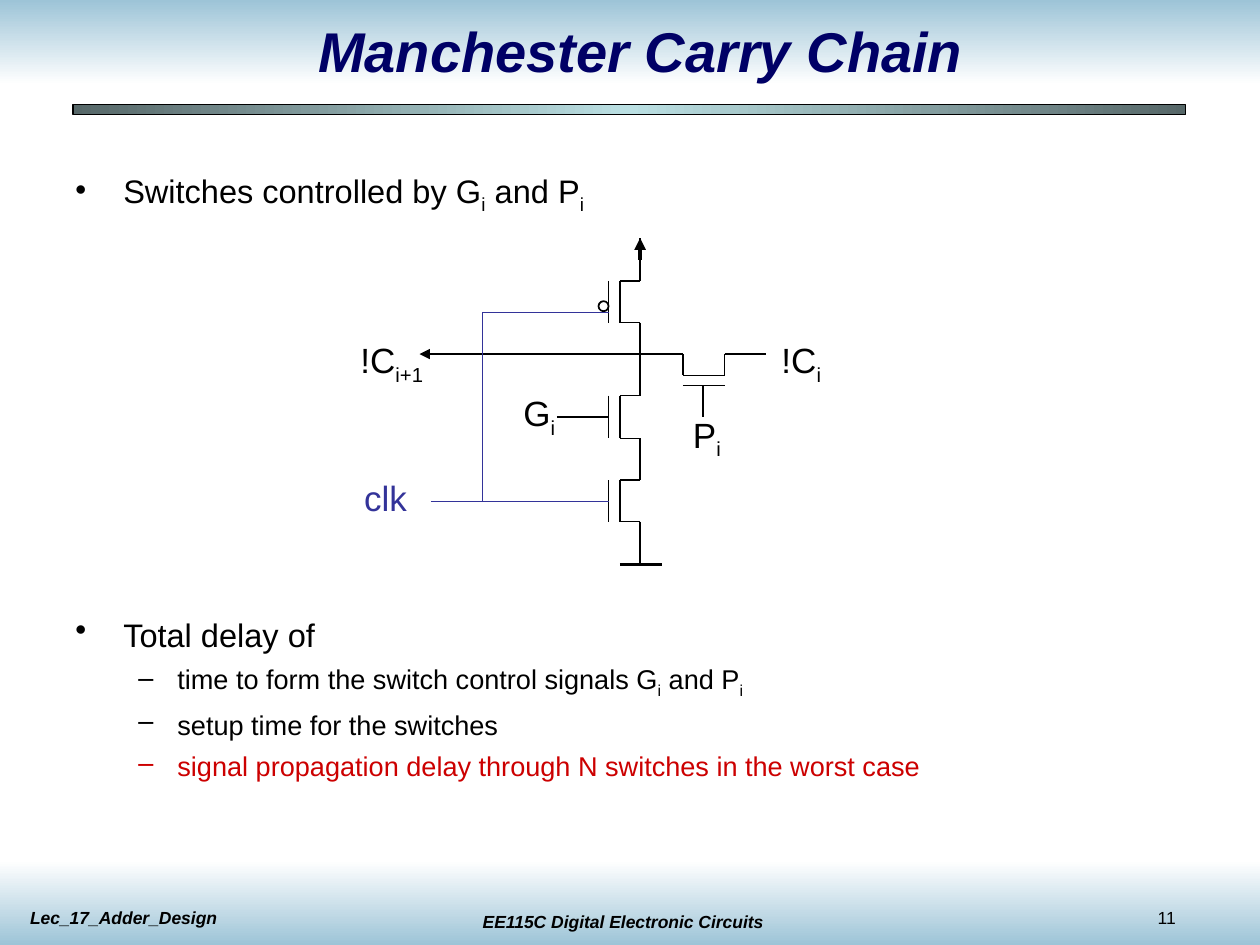
from copy import deepcopy

from lxml import etree
from pptx import Presentation
from pptx.dml.color import RGBColor
from pptx.enum.shapes import MSO_CONNECTOR, MSO_SHAPE
from pptx.enum.text import MSO_ANCHOR, PP_ALIGN
from pptx.oxml.ns import qn
from pptx.util import Inches, Pt

STRAIGHT = MSO_CONNECTOR.STRAIGHT
RECT, OVAL = MSO_SHAPE.RECTANGLE, MSO_SHAPE.OVAL
LEFT, CENTER = PP_ALIGN.LEFT, PP_ALIGN.CENTER
TOP, MIDDLE = MSO_ANCHOR.TOP, MSO_ANCHOR.MIDDLE

THEME = {
    "font": "Arial",
    "black": "000000", "navy": "000066", "clock": "333399", "red": "CC0000",
    "sky": "9DC4D7", "white": "FFFFFF", "slate": "566768", "aqua": "BBE0E3",
    "title": {"size": 32, "bold": True, "italic": True},
    "footer": {"size": 10, "bold": True, "italic": True},
    "number": {"size": 10},
    "label": {"size": 20},
    "point": {"size": 18.6},
    "detail": {"size": 15.5},
}
# bullet character, left margin, hanging indent, space before
BULLETS = {"point": ("•", 0.38, 0.38, 9), "detail": ("–", 0.81, 0.31, 5)}

prs = Presentation()
prs.slide_width, prs.slide_height = Inches(10), Inches(7.5)
s = prs.slides.add_slide(prs.slide_layouts[6])


def add_text(at, lines, align=LEFT, anchor=TOP, wrap=True):
    """Add a box of (text, style, colour) lines; "|" toggles subscript."""
    tf = s.shapes.add_textbox(*map(Inches, at)).text_frame
    tf.word_wrap, tf.vertical_anchor = wrap, anchor
    for i, (text, style, color) in enumerate(lines):
        p = tf.paragraphs[0] if i == 0 else tf.add_paragraph()
        p.alignment = align
        if style in BULLETS:
            char, margin, hang, space = BULLETS[style]
            p.space_before = Pt(space if i else 0)
            pPr = p._p.get_or_add_pPr()
            pPr.set("marL", str(Inches(margin)))
            pPr.set("indent", str(-Inches(hang)))
            etree.SubElement(pPr, qn("a:buChar")).set("char", char)
        for n, part in enumerate(text.split("|")):
            if not part:
                continue
            r = p.add_run()
            r.text = part
            r.font.name = THEME["font"]
            r.font.color.rgb = RGBColor.from_string(THEME[color])
            for name, value in THEME[style].items():
                setattr(r.font, name, Pt(value) if name == "size" else value)
            if n % 2:
                r._r.get_or_add_rPr().set("baseline", "-25000")


def add_line(x1, y1, x2, y2, color="black", width=1, arrow=False):
    c = s.shapes.add_connector(STRAIGHT, *map(Inches, (x1, y1, x2, y2)))
    c.line.color.rgb = RGBColor.from_string(THEME[color])
    c.line.width = Pt(width)
    if arrow:
        ln = c._element.spPr.find(qn("a:ln"))
        etree.SubElement(ln, qn("a:tailEnd")).set("type", "triangle")
    etree.SubElement(c._element.spPr, qn("a:effectLst"))


# Header and footer bands, and the rule under the title
for at, colors, angle in [
    ((0, 0, 10, 0.67), ("sky", "white"), 270),
    ((0, 6.83, 10, 0.67), ("white", "sky"), 270),
    ((0.58, 0.83, 8.83, 0.08), ("slate", "aqua", "slate"), 180),
]:
    sp = s.shapes.add_shape(RECT, *map(Inches, at))
    sp.shadow.inherit = False
    sp.fill.gradient()
    sp.fill.gradient_angle = angle
    stops = sp._element.spPr.find(".//" + qn("a:gsLst"))
    while len(stops) < len(colors):
        stops.insert(1, deepcopy(stops[0]))
    for i, (stop, color) in enumerate(zip(sp.fill.gradient_stops, colors)):
        stop.position = i / (len(colors) - 1)
        stop.color.rgb = RGBColor.from_string(THEME[color])
    if len(colors) == 3:
        sp.line.color.rgb = RGBColor.from_string(THEME["black"])
        sp.line.width = Pt(0.75)
    else:
        sp.line.fill.background()

add_text((0.5, 0.17, 9.17, 0.46), [("Manchester Carry Chain", "title", "navy")], CENTER, MIDDLE)
add_text((0.14, 7.15, 2.83, 0.27), [("Lec_17_Adder_Design", "footer", "black")])
add_text((3.53, 7.18, 2.83, 0.27), [("EE115C Digital Electronic Circuits", "footer", "black")], CENTER)
add_text((9.09, 7.15, 0.83, 0.27), [("11", "number", "black")])

add_text((0.5, 1.31, 9.08, 0.45), [("Switches controlled by G|i| and P|i", "point", "black")])
add_text((0.5, 4.83, 9.08, 1.6), [
    ("Total delay of", "point", "black"),
    ("time to form the switch control signals G|i| and P|i", "detail", "black"),
    ("setup time for the switches", "detail", "black"),
    ("signal propagation delay through N switches in the worst case", "detail", "red"),
])

# Vertical stack: supply rail with one transistor in each gap
RAIL, CHANNEL, GATE = 5.08, 4.92, 4.83
for y1, y2 in [(1.89, 2.23), (2.56, 3.14), (3.48, 3.81), (4.14, 4.48)]:
    add_line(RAIL, y1, RAIL, y2)
for y1, y2 in [(2.23, 2.56), (3.14, 3.48), (3.81, 4.14)]:
    add_line(CHANNEL, y1, CHANNEL, y2)
    add_line(GATE, y1, GATE, y2)
    for y in (y1, y2):
        add_line(CHANNEL, y, RAIL, y)

bubble = s.shapes.add_shape(OVAL, *map(Inches, (4.75, 2.39, 0.08, 0.08)))
bubble.shadow.inherit = False
bubble.fill.background()
bubble.line.color.rgb = RGBColor.from_string(THEME["black"])
bubble.line.width = Pt(1)

# Pass transistor on the carry wire
CARRY, SOURCE, DRAIN = 2.81, 5.42, 5.75
add_line(DRAIN, CARRY, 6.08, CARRY)
add_line(RAIL, CARRY, SOURCE, CARRY)
for x in (SOURCE, DRAIN):
    add_line(x, CARRY, x, 2.98)
for y in (2.98, 3.06):
    add_line(SOURCE, y, DRAIN, y)
add_line(5.58, 3.06, 5.58, 3.31)

# Carry output, generate input, clock wires, supply and ground
add_line(RAIL, CARRY, 3.33, CARRY, arrow=True)
add_line(4.42, 3.31, GATE, 3.31)
add_line(3.42, 3.98, GATE, 3.98, "clock")
add_line(3.83, 2.48, GATE, 2.48, "clock")
add_line(3.83, 2.48, 3.83, 3.98, "clock")
add_line(RAIL, 2.06, RAIL, 1.89, width=2.25, arrow=True)
add_line(4.92, 4.48, 5.25, 4.48, width=2.25)

# Signal labels, each centred in a box with room to spare
LABEL_W, LABEL_H = 0.9, 0.48
for center, y, text, color in [
    (4.28, 3.06, "G|i", "black"),
    (5.61, 3.23, "P|i", "black"),
    (6.36, 2.64, "!C|i", "black"),
    (3.11, 2.64, "!C|i+1", "black"),
    (3.06, 3.73, "clk", "clock"),
]:
    add_text((center - LABEL_W / 2, y, LABEL_W, LABEL_H), [(text, "label", color)], CENTER, wrap=False)

prs.save("out.pptx")
